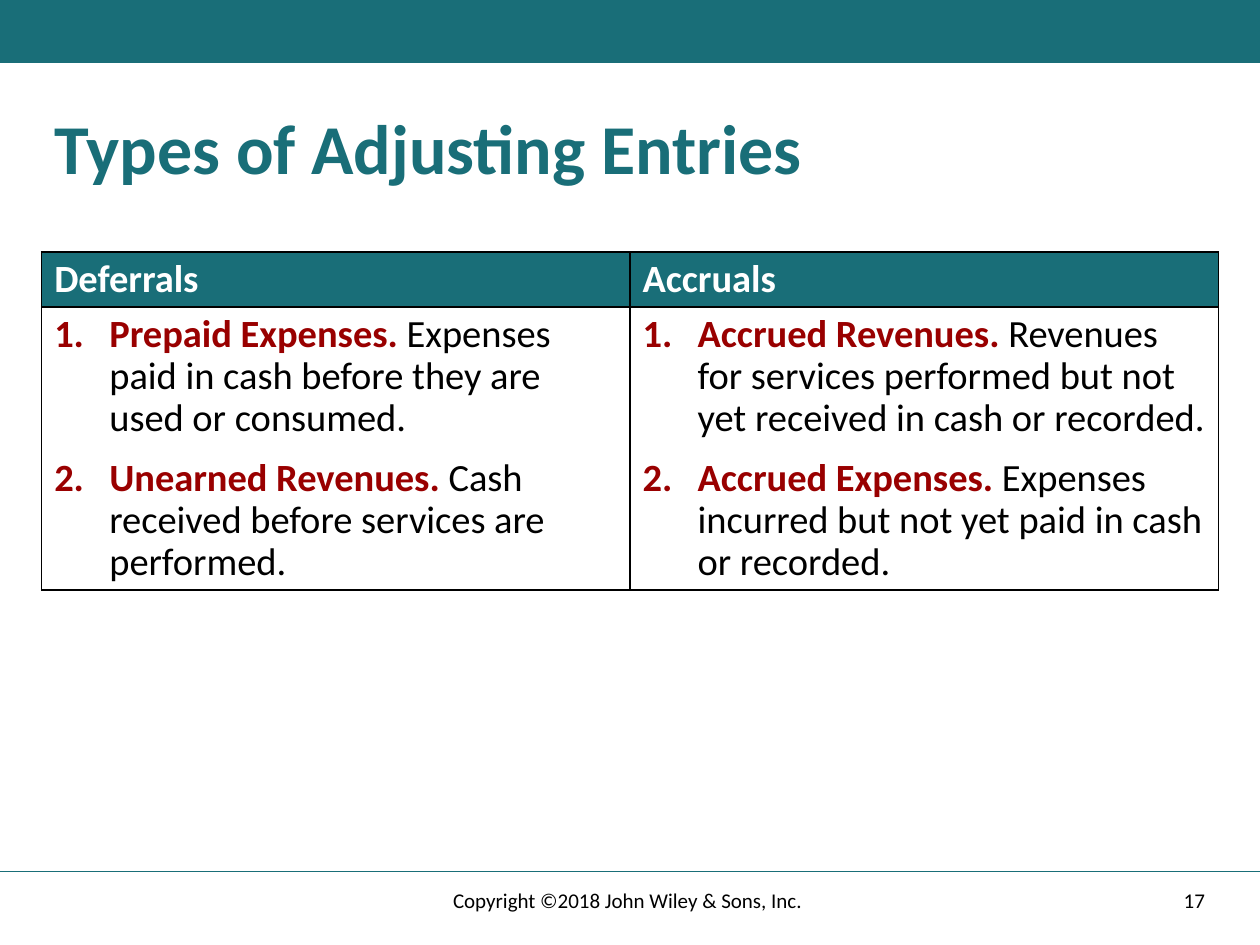
from lxml import etree
from pptx import Presentation
from pptx.dml.color import RGBColor
from pptx.enum.shapes import MSO_CONNECTOR, MSO_SHAPE
from pptx.enum.text import MSO_ANCHOR, PP_ALIGN
from pptx.oxml.ns import qn
from pptx.util import Cm, Pt

LEFT, CENTER, RIGHT = PP_ALIGN.LEFT, PP_ALIGN.CENTER, PP_ALIGN.RIGHT
MIDDLE = MSO_ANCHOR.MIDDLE
RECTANGLE = MSO_SHAPE.RECTANGLE
STRAIGHT = MSO_CONNECTOR.STRAIGHT

TEAL, RED, BLACK, WHITE = "196E78", "990000", "000000", "FFFFFF"
FONT = "Calibri"
PAGE_WIDTH, PAGE_HEIGHT = Cm(25.4), Cm(19.05)
MARGIN = Cm(0.84)
CONTENT_WIDTH = PAGE_WIDTH - 2 * MARGIN

ENTRY_TYPES = {
    "Deferrals": [
        ("Prepaid Expenses. ",
         "Expenses paid in cash before they are used or consumed."),
        ("Unearned Revenues. ",
         "Cash received before services are performed."),
    ],
    "Accruals": [
        ("Accrued Revenues. ",
         "Revenues for services performed but not yet received in cash or recorded."),
        ("Accrued Expenses. ",
         "Expenses incurred but not yet paid in cash or recorded."),
    ],
}


def color(hex_value):
    return RGBColor.from_string(hex_value)


def write(paragraph, text, size=22, hex_value=BLACK, bold=False,
          align=LEFT, spacing=0.9):
    paragraph.alignment = align
    paragraph.line_spacing = spacing
    run = paragraph.add_run()
    run.text = text
    run.font.name = FONT
    run.font.size = Pt(size)
    run.font.bold = bold
    run.font.color.rgb = color(hex_value)


def number_paragraph(paragraph, indent):
    properties = paragraph._p.get_or_add_pPr()
    properties.set("marL", str(indent))
    properties.set("indent", str(-indent))
    etree.SubElement(properties, qn("a:buFont"), typeface="+mj-lt")
    etree.SubElement(properties, qn("a:buAutoNum"), type="arabicPeriod")


def style_cell(cell, fill):
    properties = cell._tc.get_or_add_tcPr()
    for side in ("a:lnL", "a:lnR", "a:lnT", "a:lnB"):
        border = etree.SubElement(properties, qn(side), w=str(Pt(1)))
        border_fill = etree.SubElement(border, qn("a:solidFill"))
        etree.SubElement(border_fill, qn("a:srgbClr"), val=BLACK)
    cell.fill.solid()
    cell.fill.fore_color.rgb = color(fill)


def add_banner(slide):
    banner = slide.shapes.add_shape(RECTANGLE, 0, 0, PAGE_WIDTH, Cm(1.27))
    banner.shadow.inherit = False
    banner.fill.solid()
    banner.fill.fore_color.rgb = color(TEAL)
    banner.line.fill.background()


def add_footer_rule(slide):
    y = Cm(17.57)
    rule = slide.shapes.add_connector(STRAIGHT, 0, y, PAGE_WIDTH, y)
    rule.line.color.rgb = color(TEAL)
    rule.line.width = Pt(1)
    etree.SubElement(rule._element.spPr, qn("a:effectLst"))


def set_title(slide, text):
    title = slide.shapes.title
    title.left, title.top = MARGIN, Cm(2.12)
    title.width, title.height = CONTENT_WIDTH, Cm(1.9)
    title.text_frame.vertical_anchor = MIDDLE
    write(title.text_frame.paragraphs[0], text, size=40, hex_value=TEAL, bold=True)


def add_entries_table(slide):
    header_height, list_height = Cm(1.11), Cm(5.7)
    table = slide.shapes.add_table(
        2, len(ENTRY_TYPES), MARGIN, Cm(5.08),
        CONTENT_WIDTH, header_height + list_height).table
    table.rows[0].height = header_height
    table.rows[1].height = list_height
    for column, (heading, entries) in enumerate(ENTRY_TYPES.items()):
        header, body = table.cell(0, column), table.cell(1, column)
        style_cell(header, TEAL)
        style_cell(body, WHITE)
        write(header.text_frame.paragraphs[0], heading, hex_value=WHITE, bold=True)
        for position, (term, meaning) in enumerate(entries):
            if position:
                entry = body.text_frame.add_paragraph()
                entry.space_before = Pt(10)
            else:
                entry = body.text_frame.paragraphs[0]
            number_paragraph(entry, Cm(1.11))
            write(entry, term, hex_value=RED, bold=True)
            write(entry, meaning)


def add_footer_text(slide, text, left, width, align):
    frame = slide.shapes.add_textbox(left, Cm(17.65), width, Cm(1.01)).text_frame
    frame.word_wrap = True
    frame.vertical_anchor = MIDDLE
    write(frame.paragraphs[0], text, size=12, align=align, spacing=1.0)


def main():
    deck = Presentation()
    deck.slide_width, deck.slide_height = PAGE_WIDTH, PAGE_HEIGHT
    slide = deck.slides.add_slide(deck.slide_layouts[5])
    add_banner(slide)
    add_footer_rule(slide)
    set_title(slide, "Types of Adjusting Entries")
    add_entries_table(slide)
    add_footer_text(slide, "17", Cm(17.94), Cm(6.6), RIGHT)
    add_footer_text(slide, "Copyright ©2018 John Wiley & Sons, Inc. ",
                    Cm(8.41), Cm(8.58), CENTER)
    deck.save("out.pptx")


if __name__ == "__main__":
    main()
